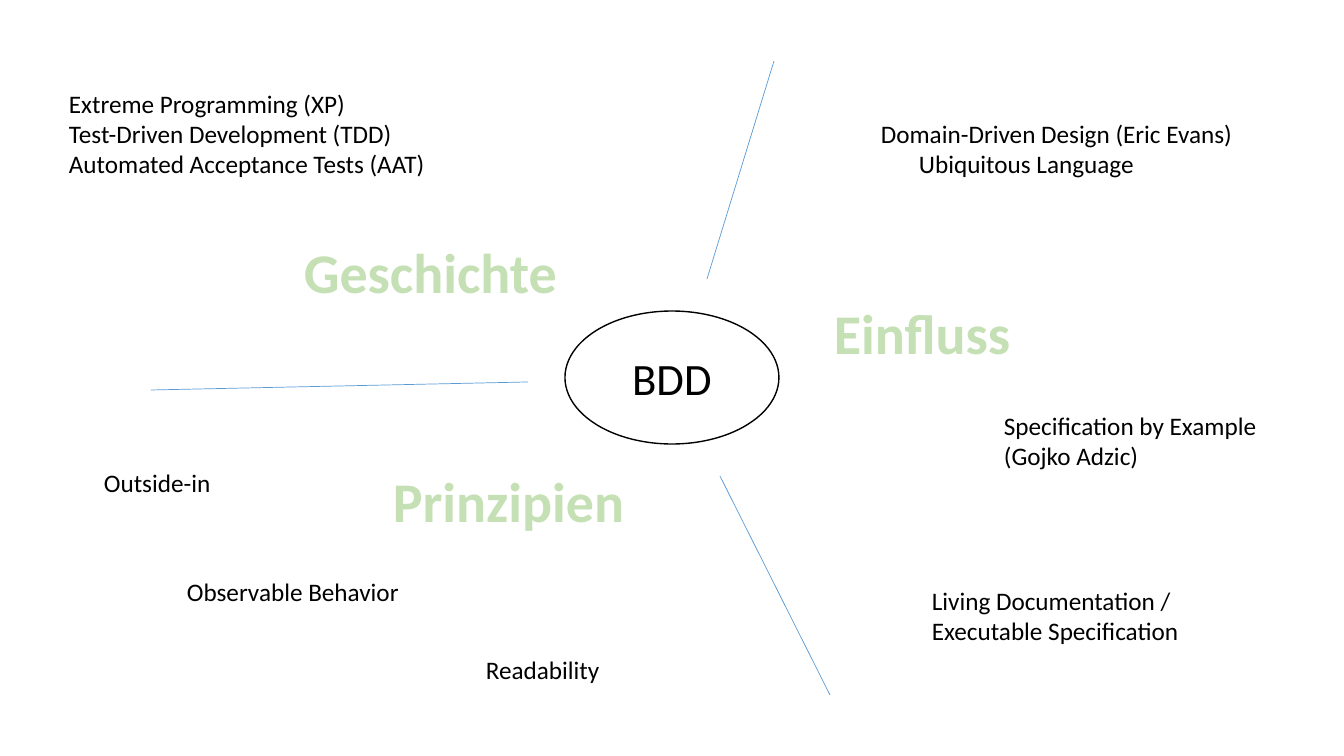
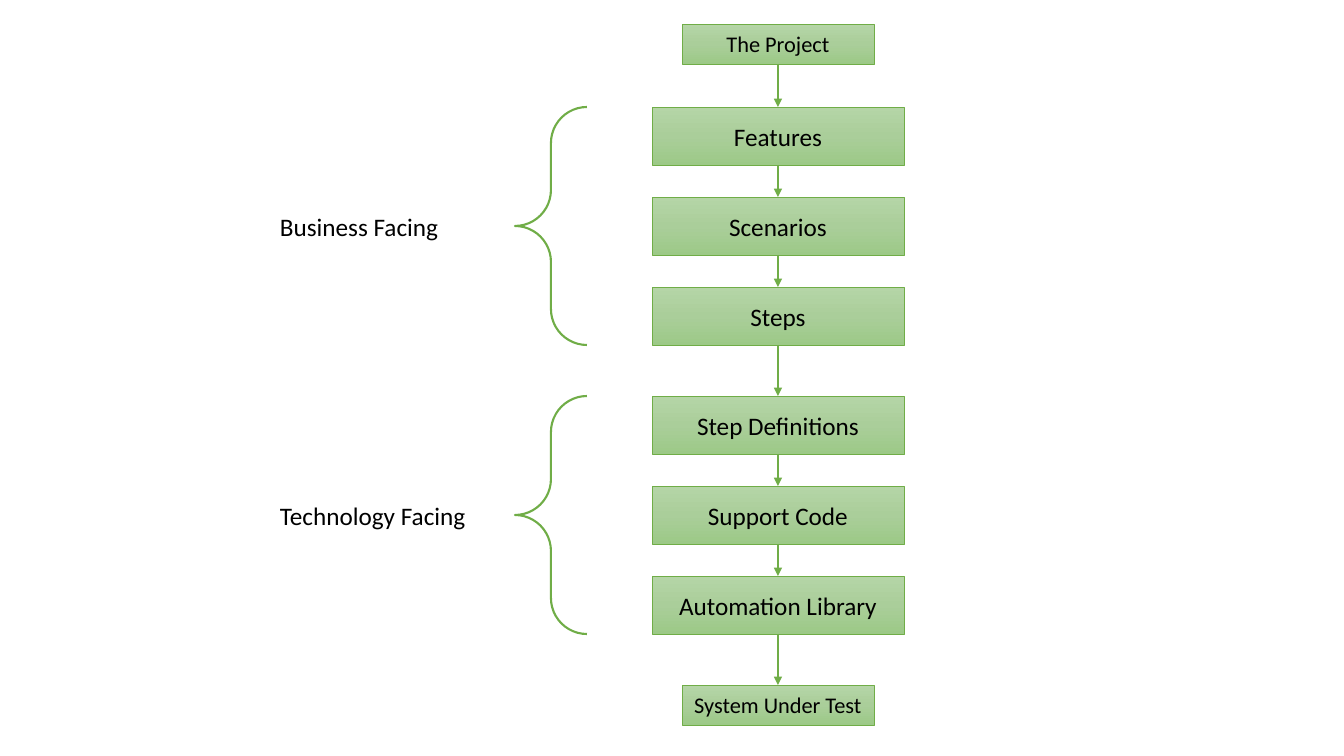
"""Build two slides on behaviour-driven development: a mind map and a layer stack."""
from copy import deepcopy
from dataclasses import dataclass
from itertools import pairwise

from lxml.etree import SubElement
from pptx import Presentation
from pptx.dml.color import RGBColor
from pptx.enum.shapes import MSO_CONNECTOR, MSO_SHAPE
from pptx.enum.text import MSO_ANCHOR, MSO_AUTO_SIZE, PP_ALIGN
from pptx.oxml.ns import qn
from pptx.shapes.autoshape import Shape
from pptx.shapes.connector import Connector
from pptx.slide import Slide
from pptx.text.text import TextFrame
from pptx.util import Emu, Pt

EMU_PER_PIXEL = 12192000 / 1344
FONT = "Calibri"
BLACK, WHITE = "000000", "FFFFFF"
BLUE, GREEN, PALE_GREEN = "5B9BD5", "70AD47", "C5E0B4"
LAYER_GRADIENT = ("B5D5A7", "AACE9A", "9CC987")
BOTTOM_SITE, TOP_SITE = 2, 0


@dataclass(frozen=True)
class Box:
    left: int
    top: int
    width: int
    height: int


@dataclass(frozen=True)
class Note:
    lines: tuple[str, ...]
    box: Box
    wrap: bool = False
    indents: tuple[int, ...] = ()


@dataclass(frozen=True)
class Facing:
    label: str
    label_width: int
    top: int
    layers: tuple[str, ...]


def px(length: int) -> Emu:
    return Emu(round(length * EMU_PER_PIXEL))


def frame(box: Box) -> tuple[Emu, Emu, Emu, Emu]:
    return px(box.left), px(box.top), px(box.width), px(box.height)


def color(value: str) -> RGBColor:
    return RGBColor.from_string(value)


def write(text_frame: TextFrame, *lines: str, size: int = 18, ink: str = BLACK,
          bold: bool = False, align: PP_ALIGN = PP_ALIGN.LEFT,
          indents: tuple[int, ...] = ()) -> None:
    text_frame.text = "\n".join(lines)
    for paragraph in text_frame.paragraphs:
        paragraph.alignment = align
        font = paragraph.runs[0].font
        font.name, font.size, font.bold = FONT, Pt(size), bold
        font.color.rgb = color(ink)
    for paragraph, indent in zip(text_frame.paragraphs, indents):
        properties = paragraph._p.get_or_add_pPr()
        properties.set("marL", str(px(indent)))
        properties.set("indent", "0")


def add_text(slide: Slide, note: Note, size: int = 18, ink: str = BLACK,
             bold: bool = False) -> None:
    text_frame = slide.shapes.add_textbox(*frame(note.box)).text_frame
    text_frame.word_wrap = note.wrap
    text_frame.auto_size = MSO_AUTO_SIZE.SHAPE_TO_FIT_TEXT
    write(text_frame, *note.lines, size=size, ink=ink, bold=bold,
          indents=note.indents)


def add_outline(slide: Slide, kind: MSO_SHAPE, box: Box, line: str,
                weight: float) -> Shape:
    shape = slide.shapes.add_shape(kind, *frame(box))
    shape.shadow.inherit = False
    shape.fill.background()
    shape.line.color.rgb = color(line)
    shape.line.width = Pt(weight)
    return shape


def label_shape(shape: Shape, text: str, size: int) -> None:
    shape.text_frame.word_wrap = True
    shape.text_frame.vertical_anchor = MSO_ANCHOR.MIDDLE
    write(shape.text_frame, text, size=size, align=PP_ALIGN.CENTER)


def add_line(slide: Slide, start: tuple[int, int], end: tuple[int, int],
             line: str, weight: float) -> Connector:
    connector = slide.shapes.add_connector(
        MSO_CONNECTOR.STRAIGHT, *map(px, start + end))
    connector.line.color.rgb = color(line)
    connector.line.width = Pt(weight)
    SubElement(connector._element.spPr, qn("a:effectLst"))
    return connector


def add_layer(slide: Slide, text: str, box: Box, size: int = 18) -> Shape:
    layer = add_outline(slide, MSO_SHAPE.RECTANGLE, box, GREEN, 0.5)
    layer.fill.gradient()
    layer.fill.gradient_angle = 270
    stops = layer._element.spPr.find(".//" + qn("a:gsLst"))
    middle = deepcopy(stops[0])
    middle.set("pos", "50000")
    stops.insert(1, middle)
    for stop, shade in zip(layer.fill.gradient_stops, LAYER_GRADIENT):
        stop.color.rgb = color(shade)
    label_shape(layer, text, size)
    return layer


def add_arrow(slide: Slide, upper: Shape, lower: Shape) -> None:
    arrow = add_line(slide, (0, 0), (0, 0), GREEN, 1.5)
    arrow.begin_connect(upper, BOTTOM_SITE)
    arrow.end_connect(lower, TOP_SITE)
    SubElement(arrow._element.spPr.find(qn("a:ln")), qn("a:tailEnd"),
               type="triangle")


def build_mind_map(slide: Slide) -> None:
    topics = (
        Note(("Geschichte",), Box(294, 233, 276, 78)),
        Note(("Einfluss",), Box(824, 294, 200, 78)),
        Note(("Prinzipien",), Box(383, 462, 254, 78)),
    )
    ideas = (
        Note(("Extreme Programming (XP)", "Test-Driven Development (TDD)",
              "Automated Acceptance Tests (AAT)"),
             Box(59, 83, 386, 102), wrap=True),
        Note(("Domain-Driven Design (Eric Evans)", "Ubiquitous Language"),
             Box(871, 113, 399, 72), wrap=True, indents=(0, 38)),
        Note(("Specification by Example", "(Gojko Adzic)"),
             Box(994, 405, 276, 72)),
        Note(("Living Documentation /", "Executable Specification"),
             Box(922, 580, 270, 72)),
        Note(("Outside-in",), Box(94, 462, 128, 40)),
        Note(("Observable Behavior",), Box(177, 571, 235, 40)),
        Note(("Readability",), Box(476, 649, 135, 40)),
    )
    dividers = (
        ((774, 61), (707, 279)),
        ((151, 390), (528, 382)),
        ((830, 695), (720, 476)),
    )
    center = add_outline(slide, MSO_SHAPE.OVAL, Box(565, 311, 214, 133), BLACK, 1)
    center.fill.solid()
    center.fill.fore_color.rgb = color(WHITE)
    label_shape(center, "BDD", 32)
    for idea in ideas:
        add_text(slide, idea)
    for topic in topics:
        add_text(slide, topic, size=40, ink=PALE_GREEN, bold=True)
    for start, end in dividers:
        add_line(slide, start, end, BLUE, 0.5)


def build_layer_stack(slide: Slide) -> None:
    layer_height, pitch = 58, 90
    facings = (
        Facing("Business Facing", 180, 107, ("Features", "Scenarios", "Steps")),
        Facing("Technology Facing", 208, 396,
               ("Step Definitions", "Support Code", "Automation Library")),
    )
    stack = [add_layer(slide, "The Project", Box(682, 24, 192, 40), size=16)]
    for facing in facings:
        for row, name in enumerate(facing.layers):
            box = Box(652, facing.top + row * pitch, 252, layer_height)
            stack.append(add_layer(slide, name, box))
        span = (len(facing.layers) - 1) * pitch + layer_height
        brace = add_outline(slide, MSO_SHAPE.LEFT_BRACE,
                            Box(515, facing.top, 72, span), GREEN, 1.5)
        brace.adjustments[0] = 0.5
        brace.adjustments[1] = 0.5
        add_text(slide, Note((facing.label,),
                             Box(270, facing.top + 99, facing.label_width, 40)))
    stack.append(add_layer(slide, "System Under Test", Box(682, 685, 192, 40),
                           size=16))
    for upper, lower in pairwise(stack):
        add_arrow(slide, upper, lower)


def main() -> None:
    deck = Presentation()
    deck.slide_width, deck.slide_height = px(1344), px(756)
    blank = deck.slide_layouts[6]
    for build in (build_mind_map, build_layer_stack):
        build(deck.slides.add_slide(blank))
    deck.save("out.pptx")


main()
